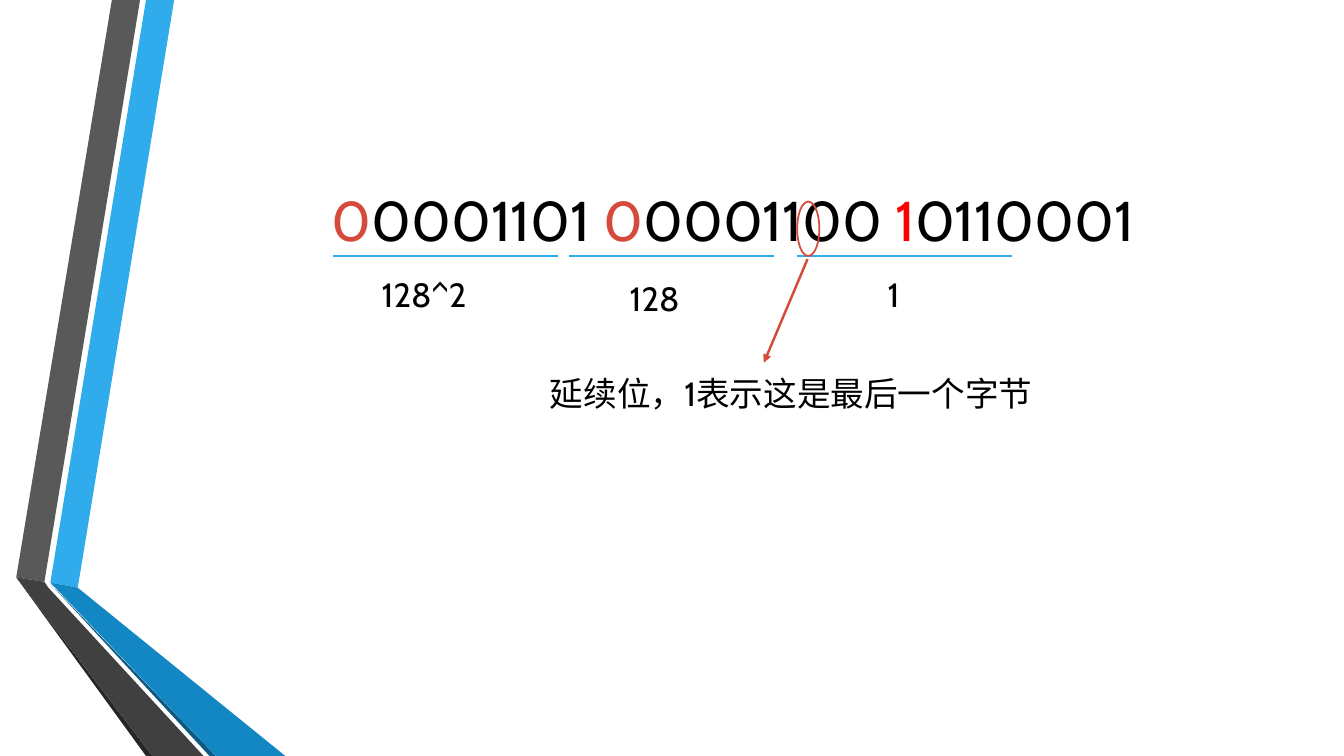
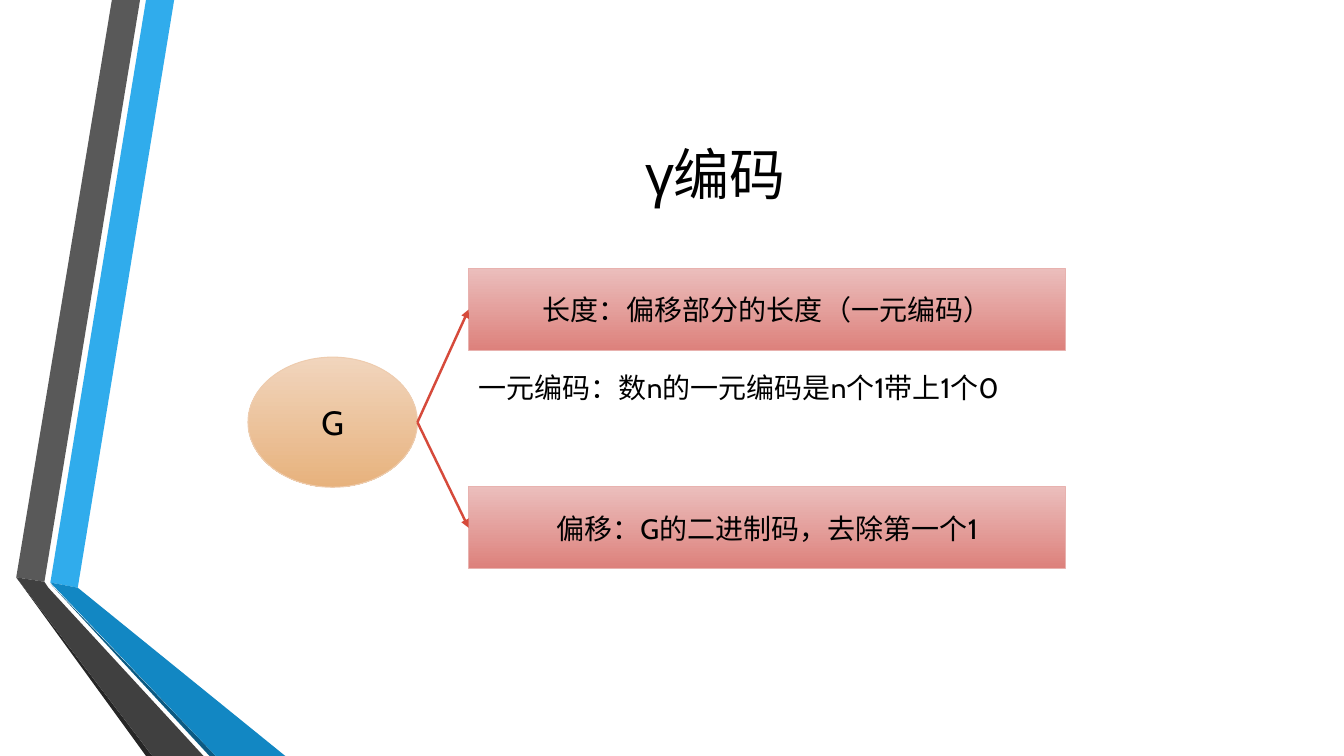
from dataclasses import dataclass

from lxml.etree import SubElement
from pptx import Presentation
from pptx.dml.color import RGBColor as Rgb
from pptx.enum.shapes import MSO_CONNECTOR as Link, MSO_SHAPE as Preset
from pptx.enum.text import MSO_ANCHOR as Anchor, PP_ALIGN as Align
from pptx.oxml.ns import qn
from pptx.util import Cm, Pt


@dataclass(frozen=True)
class Theme:
    font: str = "Cabin"
    ink: str = "000000"
    accent: str = "D64A3B"
    alert: str = "FF0000"
    rule: str = "30ACEC"
    peach: tuple = ("F1D5BD", "E7B27D", "EECCAF")
    rose: tuple = ("EBBEBC", "DD817C", "E8B2AF")
    display: int = 40
    label: int = 24
    body: int = 20
    hairline: float = 0.75
    outline: float = 1.25
    stroke: float = 1.75
    bands: tuple = (
        ("30ACEC", ((1.27, 14.68), (1.96, 14.81), (4.39, 0), (3.68, 0))),
        ("595959", ((3.53, 0), (2.82, 0), (0.41, 14.55), (1.12, 14.66))),
        ("262626", ((0.41, 14.55), (3.68, 19.05), (3.84, 19.05))),
        ("0C5A82", ((1.27, 14.71), (5.28, 19.05), (5.44, 19.05))),
        ("1287C3", ((1.27, 14.68), (5.44, 19.05), (7.19, 19.05), (1.96, 14.81))),
        ("404040", ((5.13, 19.05), (1.22, 14.81), (1.12, 14.66), (0.41, 14.55),
                    (3.84, 19.05))),
    )


class Deck:
    """Draw themed elements on the current slide, with lengths in centimetres."""

    def __init__(self, theme):
        self.theme = theme
        self.presentation = Presentation()
        self.presentation.slide_width = Cm(33.87)
        self.presentation.slide_height = Cm(19.05)
        self.slide = None

    def new_slide(self):
        self.slide = self.presentation.slides.add_slide(
            self.presentation.slide_layouts[6])
        for color, corners in self.theme.bands:
            self.band(color, corners)

    def band(self, color, corners):
        first, *others = [(Cm(x), Cm(y)) for x, y in corners]
        outline = self.slide.shapes.build_freeform(*first)
        outline.add_line_segments(others, close=True)
        band = outline.convert_to_shape()
        band.shadow.inherit = False
        band.fill.solid()
        band.fill.fore_color.rgb = Rgb.from_string(color)
        band.line.fill.background()

    def fill_text(self, frame, pieces, size, align=Align.LEFT, anchor=Anchor.TOP):
        frame.word_wrap = True
        frame.vertical_anchor = anchor
        paragraph = frame.paragraphs[0]
        paragraph.alignment = align
        paragraph.font.name = self.theme.font
        paragraph.font.size = Pt(size)
        paragraph.font.color.rgb = Rgb.from_string(self.theme.ink)
        for words, color in pieces:
            run = paragraph.add_run()
            run.text = words
            run.font.name = self.theme.font
            run.font.size = Pt(size)
            run.font.color.rgb = Rgb.from_string(color)

    def text(self, area, pieces, size, **layout):
        if isinstance(pieces, str):
            pieces = [(pieces, self.theme.ink)]
        box = self.slide.shapes.add_textbox(*map(Cm, area))
        self.fill_text(box.text_frame, pieces, size, **layout)

    def title(self, words):
        self.text((4.11, 1.91, 27.84, 4.88), words, self.theme.display,
                  align=Align.CENTER, anchor=Anchor.MIDDLE)

    def node(self, preset, area, words, size, colors):
        *shades, edge = colors
        node = self.slide.shapes.add_shape(preset, *map(Cm, area))
        node.shadow.inherit = False
        node.fill.gradient()
        node.fill.gradient_angle = 270
        for stop, shade in zip(node.fill.gradient_stops, shades):
            stop.color.rgb = Rgb.from_string(shade)
        node.line.color.rgb = Rgb.from_string(edge)
        node.line.width = Pt(self.theme.hairline)
        self.fill_text(node.text_frame, [(words, self.theme.ink)], size,
                       Align.CENTER, Anchor.MIDDLE)

    def ring(self, area):
        ring = self.slide.shapes.add_shape(Preset.OVAL, *map(Cm, area))
        ring.shadow.inherit = False
        ring.fill.background()
        ring.line.color.rgb = Rgb.from_string(self.theme.accent)
        ring.line.width = Pt(self.theme.outline)

    def line(self, start, end, color):
        line = self.slide.shapes.add_connector(
            Link.STRAIGHT, *map(Cm, (*start, *end)))
        line.line.color.rgb = Rgb.from_string(color)
        line.line.width = Pt(self.theme.stroke)
        SubElement(line._element.spPr, qn("a:effectLst"))
        return line

    def arrow(self, start, end):
        arrow = self.line(start, end, self.theme.accent)
        stroke = arrow._element.spPr.find(qn("a:ln"))
        SubElement(stroke, qn("a:tailEnd"), type="triangle")


def variable_byte_slide(deck):
    theme = deck.theme
    deck.new_slide()
    deck.text((8.1, 4.55, 22.48, 1.96), [
        ("0", theme.accent), ("0001101 ", theme.ink),
        ("0", theme.accent), ("0001100 ", theme.ink),
        ("1", theme.alert), ("0110001", theme.ink),
    ], theme.display)
    underline_y = 6.45
    for left, right in ((8.38, 14.05), (14.35, 19.51), (20.09, 25.5)):
        deck.line((left, underline_y), (right, underline_y), theme.rule)
    for weight, left, top in (("128^2", 9.37, 6.78), ("128", 15.62, 6.88),
                              ("1", 22.12, 6.78)):
        deck.text((left, top, 5.97, 1.27), weight, theme.label)
    deck.ring((20.09, 5.08, 0.56, 1.37))
    deck.arrow((20.35, 6.53), (19.25, 9.14))
    deck.text((13.61, 9.27, 14.05, 1.27), "延续位，1表示这是最后一个字节", theme.label)


def gamma_code_slide(deck):
    theme = deck.theme
    deck.new_slide()
    deck.title("γ编码")
    deck.node(Preset.OVAL, (6.25, 9, 4.27, 3.28), "G", theme.label, theme.peach)
    part_left, part_width, part_height = 11.81, 15.04, 2.06
    for top, meaning in ((6.77, "长度：偏移部分的长度（一元编码）"),
                         (12.27, "偏移：G的二进制码，去除第一个1")):
        deck.node(Preset.RECTANGLE, (part_left, top, part_width, part_height),
                  meaning, theme.body, theme.rose)
        deck.arrow((10.52, 10.64), (part_left, top + part_height / 2))
    deck.text((part_left, 9.22, part_width, 1.12),
              "一元编码：数n的一元编码是n个1带上1个0", theme.body)


def main():
    deck = Deck(Theme())
    variable_byte_slide(deck)
    gamma_code_slide(deck)
    deck.presentation.save("out.pptx")


if __name__ == "__main__":
    main()
